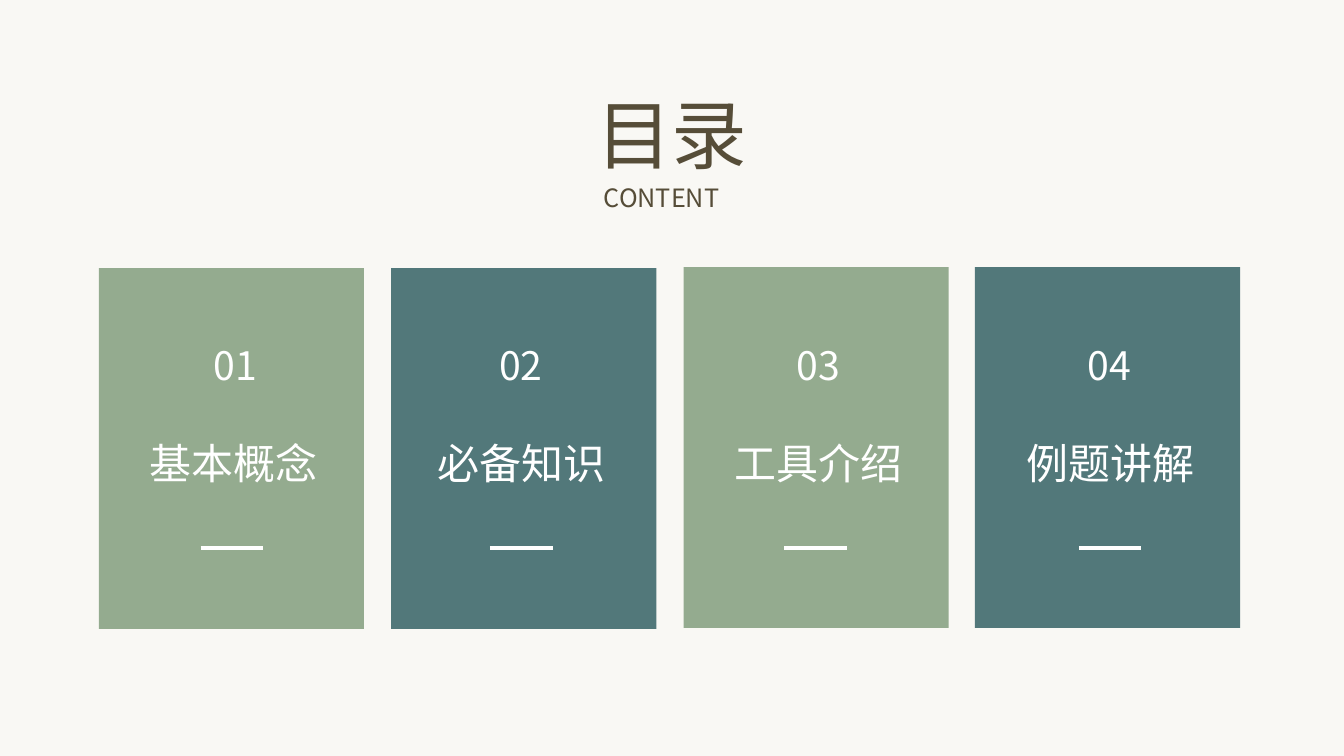
from lxml import etree
from pptx import Presentation
from pptx import util as u
from pptx.dml.color import RGBColor
from pptx.enum import shapes, text
from pptx.oxml.ns import qn

PX = 9144  # 100 px to the inch
FONT = "Noto Sans CJK SC"
COLORS = {
    "background": "F9F8F4",
    "heading": "564D38",
    "sage": "94AB8F",
    "teal": "52787A",
    "white": "FFFFFF",
}


def color(name):
    return RGBColor.from_string(COLORS[name])


def add_label(slide, words, box, size, color_name, wrap=False, align="CENTER"):
    label = slide.shapes.add_textbox(*(PX * length for length in box))
    frame = label.text_frame
    frame.word_wrap = wrap
    frame.auto_size = text.MSO_AUTO_SIZE.SHAPE_TO_FIT_TEXT
    paragraph = frame.paragraphs[0]
    paragraph.alignment = text.PP_ALIGN[align]
    run = paragraph.add_run()
    run.text = words
    for name, value in {"name": FONT, "size": u.Pt(size)}.items():
        setattr(run.font, name, value)
    run.font.color.rgb = color(color_name)
    # The public font name covers Latin letters only
    etree.SubElement(run._r.get_or_add_rPr(), qn("a:ea"), typeface=FONT)


presentation = Presentation()
presentation.slide_width = 1333 * PX
presentation.slide_height = 750 * PX
slide = presentation.slides.add_slide(presentation.slide_layouts[6])
slide.background.fill.solid()
slide.background.fill.fore_color.rgb = color("background")

add_label(slide, "目录", (555, 82, 223, 101), 54, "heading", wrap=True)
add_label(slide, "CONTENT", (589, 176, 161, 40), 18, "heading", wrap=True, align="JUSTIFY")

# Topic, card left and top, then left edges of number, topic and dash
cards = [
    ("基本概念", 98, 266, 199, 138, 199),
    ("必备知识", 388, 266, 482, 423, 486),
    ("工具介绍", 678, 265, 777, 718, 778),
    ("例题讲解", 967, 265, 1066, 1007, 1070),
]
for index, (topic, left, top, number_left, topic_left, dash_left) in enumerate(cards):
    card = slide.shapes.add_shape(
        shapes.MSO_SHAPE.ROUNDED_RECTANGLE, left * PX, top * PX, 263 * PX, 358 * PX
    )
    card.adjustments[0] = 0
    card.shadow.inherit = False
    card.fill.solid()
    card.fill.fore_color.rgb = color(("sage", "teal")[index % 2])
    card.line.fill.background()

    add_label(slide, f"{index + 1:02}", (number_left, 334, 69, 57), 28, "white")
    add_label(slide, topic, (topic_left, 429, 188, 61), 30, "white")

    dash = slide.shapes.add_connector(
        shapes.MSO_CONNECTOR.STRAIGHT,
        dash_left * PX, 544 * PX, (dash_left + 62) * PX, 544 * PX,
    )
    dash.line.color.rgb = color("white")
    dash.line.width = u.Pt(3)
    etree.SubElement(dash._element.spPr, qn("a:effectLst"))

presentation.save("out.pptx")
